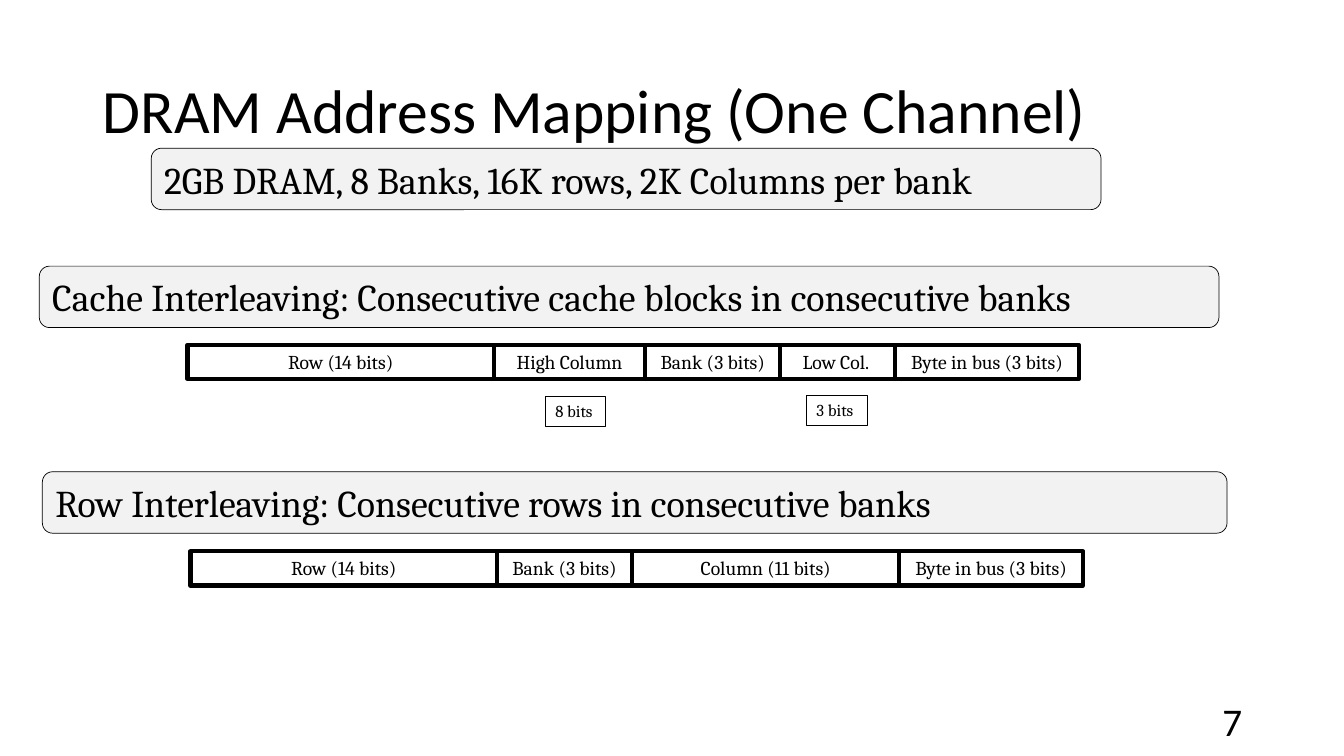
from pptx import Presentation
from pptx.dml.color import RGBColor
from pptx.enum.shapes import MSO_SHAPE as Shape
from pptx.enum.text import MSO_ANCHOR as Anchor, MSO_AUTO_SIZE as AutoSize, PP_ALIGN as Align
from pptx.util import Inches, Pt


def color(value):
    return RGBColor.from_string(value)


class SlideBuilder:
    heading_font = "Calibri"
    body_font = "Cambria"
    ink = "000000"
    banner_fill = "F2F2F2"
    field_height = 0.34

    def __init__(self, deck):
        self.slide = deck.slides.add_slide(deck.slide_layouts[5])

    def set_text(self, box, text, size, font, align=Align.LEFT, **frame_format):
        frame = box.text_frame
        settings = {"word_wrap": True, "auto_size": AutoSize.NONE,
                    "vertical_anchor": Anchor.MIDDLE, **frame_format}
        for name, value in settings.items():
            setattr(frame, name, value)
        para = frame.paragraphs[0]
        para.alignment = align
        span = para.add_run()
        span.text = text
        for name, value in {"name": font, "size": Pt(size)}.items():
            setattr(span.font, name, value)
        span.font.color.rgb = color(self.ink)
        return para

    def title(self, text, left, top, width, height):
        box = self.slide.shapes.title
        place = {"left": left, "top": top, "width": width, "height": height}
        for name, value in place.items():
            setattr(box, name, Inches(value))
        self.set_text(box, text, 44, self.heading_font).line_spacing = 0.9

    def page_number(self, text, left, top, width, height):
        box = self.slide.shapes.add_textbox(*map(Inches, (left, top, width, height)))
        self.set_text(box, text, 28, self.heading_font, Align.RIGHT)

    def outlined(self, kind, left, top, width, height, line_width, fill=None):
        box = self.slide.shapes.add_shape(kind, *map(Inches, (left, top, width, height)))
        box.shadow.inherit = False
        if fill:
            box.fill.solid()
            box.fill.fore_color.rgb = color(fill)
        else:
            box.fill.background()
        box.line.color.rgb = color(self.ink)
        box.line.width = Pt(line_width)
        return box

    def banner(self, text, left, top, width):
        box = self.outlined(Shape.ROUNDED_RECTANGLE, left, top, width, 0.61, 0.5,
                            self.banner_fill)
        self.set_text(box, text, 27, self.body_font)

    def address(self, left, top, fields):
        for text, width in fields:
            box = self.outlined(Shape.RECTANGLE, left, top, width, self.field_height, 3)
            self.set_text(box, text, 14, self.body_font, Align.CENTER,
                          vertical_anchor=Anchor.TOP, auto_size=AutoSize.SHAPE_TO_FIT_TEXT)
            left += width

    def bit_count(self, text, left, top):
        box = self.outlined(Shape.RECTANGLE, left, top, 0.6, 0.3, 0.75)
        self.set_text(box, text, 12, self.body_font, word_wrap=False,
                      vertical_anchor=Anchor.TOP, auto_size=AutoSize.SHAPE_TO_FIT_TEXT)


def main():
    deck = Presentation()
    deck.slide_width, deck.slide_height = Inches(13.33), Inches(7.5)
    page = SlideBuilder(deck)

    # Heading and memory size
    page.title("DRAM Address Mapping (One Channel)", 0.92, 0.4, 11.5, 1.45)
    page.banner("2GB DRAM, 8 Banks, 16K rows, 2K Columns per bank", 1.5, 1.47, 9.42)

    # Fields shared by both address layouts
    row = ("Row (14 bits)", 3.04)
    bank = ("Bank (3 bits)", 1.34)
    byte = ("Byte in bus (3 bits)", 1.82)

    # Cache interleaving
    page.banner("Cache Interleaving: Consecutive cache blocks in consecutive banks",
                0.39, 2.64, 11.7)
    page.address(1.86, 3.42, [row, ("High Column", 1.5), bank, ("Low Col. ", 1.14), byte])
    page.bit_count("8 bits", 5.41, 3.93)
    page.bit_count("3 bits", 8, 3.92)

    # Row interleaving
    page.banner("Row Interleaving: Consecutive rows in consecutive banks", 0.42, 4.68, 11.75)
    page.address(1.89, 5.47, [row, bank, ("Column (11 bits)", 2.65), byte])

    # Page number
    page.page_number("7", 9.42, 6.95, 3, 0.4)

    deck.save("out.pptx")


if __name__ == "__main__":
    main()
